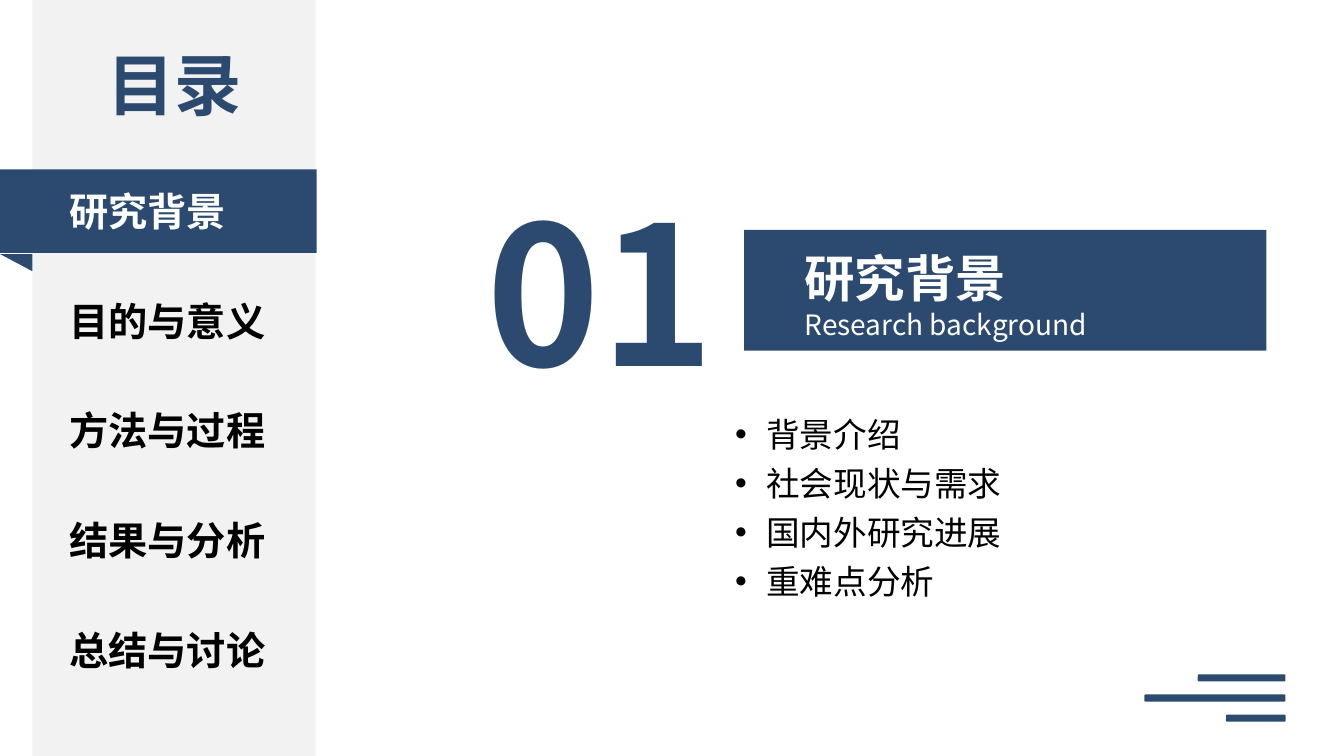
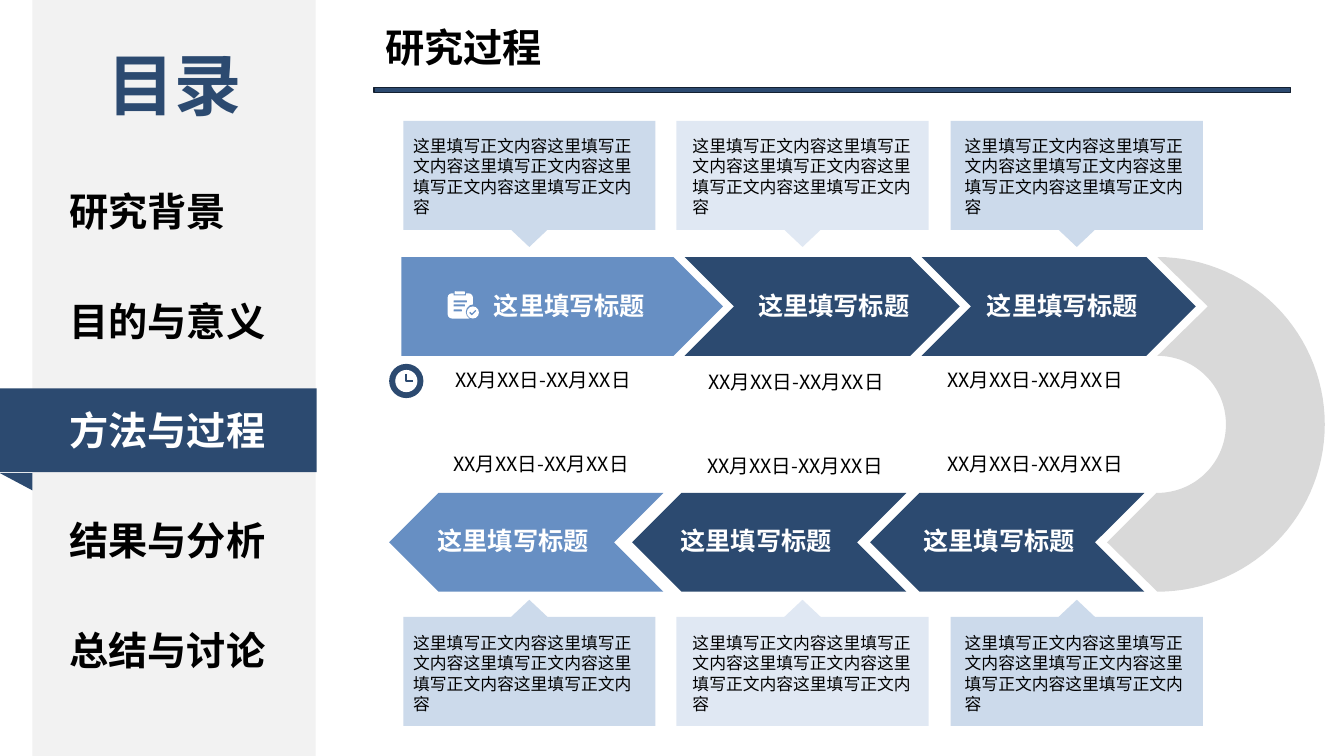
from math import cos, radians, sin

from lxml import etree
from pptx import Presentation
from pptx.dml.color import RGBColor
from pptx.enum.shapes import MSO_SHAPE
from pptx.enum.text import MSO_ANCHOR, MSO_AUTO_SIZE, PP_ALIGN
from pptx.oxml.ns import qn
from pptx.util import Inches, Pt

FONT = "Noto Sans CJK SC"
NAVY = RGBColor(0x2C, 0x4A, 0x70)
NAVY_EDGE = RGBColor(0x13, 0x20, 0x31)
BLUE = RGBColor(0x67, 0x8F, 0xC3)
PALE_BLUE = RGBColor(0xCC, 0xDA, 0xEB)
PANEL_GREY = RGBColor(0xF2, 0xF2, 0xF2)
TURN_GREY = RGBColor(0xD9, 0xD9, 0xD9)
WHITE = RGBColor(0xFF, 0xFF, 0xFF)
BLACK = RGBColor(0, 0, 0)

RECT, ROUND, OVAL = MSO_SHAPE.RECTANGLE, MSO_SHAPE.ROUNDED_RECTANGLE, MSO_SHAPE.OVAL
FOLD, CHEVRON, PENTAGON = MSO_SHAPE.RIGHT_TRIANGLE, MSO_SHAPE.CHEVRON, MSO_SHAPE.PENTAGON
LEFT, CENTER = PP_ALIGN.LEFT, PP_ALIGN.CENTER
TOP, MIDDLE = MSO_ANCHOR.TOP, MSO_ANCHOR.MIDDLE
FIXED_SIZE = MSO_AUTO_SIZE.NONE

CONTENTS = "目录"
CHAPTERS = ["研究背景", "目的与意义", "方法与过程", "结果与分析", "总结与讨论"]
CHAPTER_TOP, CHAPTER_STEP = 1.81, 1.087

SECTION_NUMBER = "01"
SECTION_TITLE = [("研究背景", 36, True, 43), ("Research background", 20, False, 24)]
SECTION_TOPICS = ["背景介绍", "社会现状与需求", "国内外研究进展", "重难点分析"]
CORNER_BAR_WIDTHS = [0.87, 1.4, 0.59]
CORNER_RIGHT = 12.75

PROCESS_TITLE = "研究过程"
STEP_TITLE = "这里填写标题"
STEP_DATES = "XX月XX日-XX月XX日"
STEP_BODY = "这里填写正文内容" * 5

CALLOUT_LEFTS = [4, 6.71, 9.43]
BODY_LEFTS = [4, 6.77, 9.47]
PROCESS_ROWS = [
    {"arrow_top": 2.55, "title_top": 2.83, "date_top": 3.6, "body_top": 1.3,
     "callout_base": 1.2, "callout_direction": 1, "flipped": False,
     "arrows": [(3.98, 3.19, PENTAGON, BLUE), (6.79, 2.73, CHEVRON, NAVY),
                (9.14, 2.72, CHEVRON, NAVY)],
     "title_lefts": [4.8, 7.42, 9.69], "date_lefts": [4.18, 6.69, 9.06]},
    {"arrow_top": 4.89, "title_top": 5.16, "date_top": 4.43, "body_top": 6.23,
     "callout_base": 7.2, "callout_direction": -1, "flipped": True,
     "arrows": [(3.86, 2.72, CHEVRON, BLUE), (6.27, 2.72, CHEVRON, NAVY),
                (8.63, 2.72, CHEVRON, NAVY)],
     "title_lefts": [4.24, 6.65, 9.06], "date_lefts": [4.16, 6.68, 9.06]},
]

CLIPBOARD_PARTS = [
    (ROUND, 4.44, 2.91, 0.25, 0.25, WHITE),
    (RECT, 4.5, 2.9, 0.12, 0.03, BLUE),
    (ROUND, 4.51, 2.89, 0.1, 0.03, WHITE),
    (ROUND, 4.5, 2.98, 0.13, 0.02, BLUE),
    (ROUND, 4.5, 3.02, 0.11, 0.02, BLUE),
    (ROUND, 4.5, 3.07, 0.08, 0.02, BLUE),
    (OVAL, 4.62, 3.02, 0.15, 0.15, BLUE),
    (OVAL, 4.63, 3.04, 0.12, 0.12, WHITE),
]
CLIPBOARD_TICK = [(4.66, 3.1), (4.68, 3.12), (4.72, 3.08)]
CLOCK_PARTS = [(OVAL, 3.86, 3.61, 0.34, 0.34, NAVY),
               (OVAL, 3.92, 3.67, 0.22, 0.22, WHITE)]
CLOCK_HANDS = [(4.03, 3.71), (4.03, 3.78), (4.1, 3.78)]


def paint(shape, color):
    shape.shadow.inherit = False
    shape.fill.solid()
    shape.fill.fore_color.rgb = color
    shape.line.fill.background()


def add_block(slide, kind, left, top, width, height, color):
    block = slide.shapes.add_shape(
        kind, Inches(left), Inches(top), Inches(width), Inches(height))
    paint(block, color)
    return block


def add_outline(slide, points, color, stroke=None):
    corners = [(Inches(x), Inches(y)) for x, y in points]
    builder = slide.shapes.build_freeform(*corners[0], scale=1.0)
    builder.add_line_segments(corners[1:], close=stroke is None)
    outline = builder.convert_to_shape()
    paint(outline, color)
    if stroke:
        outline.fill.background()
        outline.line.color.rgb = color
        outline.line.width = Pt(stroke)
    return outline


def place(shape, left, top, width, height):
    box = {"left": left, "top": top, "width": width, "height": height}
    for side, value in box.items():
        setattr(shape, side, Inches(value))


def format_frame(frame, anchor):
    settings = {"word_wrap": True, "auto_size": FIXED_SIZE, "vertical_anchor": anchor,
                "margin_left": Inches(0.1), "margin_right": Inches(0.1),
                "margin_top": Inches(0.05), "margin_bottom": Inches(0.05)}
    for name, value in settings.items():
        setattr(frame, name, value)


def write(frame, lines, color, align=LEFT, anchor=MIDDLE, bullet=False):
    format_frame(frame, anchor)
    for index, (text, size, bold, spacing) in enumerate(lines):
        paragraph = frame.add_paragraph() if index else frame.paragraphs[0]
        if bullet:
            properties = paragraph._p.get_or_add_pPr()
            properties.set("marL", str(Inches(0.31)))
            properties.set("indent", str(-Inches(0.31)))
            etree.SubElement(properties, qn("a:buChar")).set("char", "•")
        layout = {"alignment": align, "space_before": Pt(0), "space_after": Pt(0),
                  "line_spacing": Pt(spacing) if spacing else 1.0}
        for name, value in layout.items():
            setattr(paragraph, name, value)
        run = paragraph.add_run()
        run.text = text
        for name, value in {"size": Pt(size), "bold": bold, "name": FONT}.items():
            setattr(run.font, name, value)
        run.font.color.rgb = color
        etree.SubElement(run._r.get_or_add_rPr(), qn("a:ea")).set("typeface", FONT)


def add_label(slide, box, text, size, color, bold=False, spacing=None,
              align=LEFT, anchor=MIDDLE):
    label = slide.shapes.add_textbox(*(Inches(value) for value in box))
    write(label.text_frame, [(text, size, bold, spacing)], color, align, anchor)


def add_sidebar(slide, active):
    add_block(slide, RECT, 0.32, 0, 2.81, 7.5, PANEL_GREY)
    ribbon_top = CHAPTER_TOP + active * CHAPTER_STEP - 0.13
    add_block(slide, RECT, 0, ribbon_top, 3.14, 0.83, NAVY)
    add_block(slide, FOLD, 0, ribbon_top + 0.84, 0.32, 0.17, NAVY).rotation = 180
    add_label(slide, (0.76, 0.37, 1.94, 0.91), CONTENTS, 48, NAVY, True, align=CENTER)
    for index, chapter in enumerate(CHAPTERS):
        top = CHAPTER_TOP + index * CHAPTER_STEP
        add_label(slide, (0.59, top, 2.21, 0.57), chapter, 28,
                  WHITE if index == active else BLACK, True)


def add_callout(slide, left, base, direction, pale):
    profile = [(0, 0), (2.5, 0), (2.5, 1.08), (1.43, 1.08),
               (1.25, 1.25), (1.07, 1.08), (0, 1.08)]
    points = [(left + x, base + direction * y) for x, y in profile]
    callout = add_outline(slide, points, BLUE if pale else PALE_BLUE)
    if pale:
        tint = callout._element.spPr.find(qn("a:solidFill"))[0]
        etree.SubElement(tint, qn("a:alpha")).set("val", "20000")


def arc(radius, start, end, step):
    return [(11.48 + radius * cos(radians(angle)), 4.21 + radius * sin(radians(angle)))
            for angle in range(start, end + step, step)]


def add_turn(slide):
    points = (arc(1.66, -90, 90, 3) + [(10.98, 5.38), (11.47, 4.89)]
              + arc(0.68, 90, -90, -3) + [(11.98, 3.04)])
    add_outline(slide, points, TURN_GREY)


def add_process_row(slide, row):
    for column, (left, width, kind, color) in enumerate(row["arrows"]):
        arrow = add_block(slide, kind, left, row["arrow_top"], width, 0.98, color)
        if row["flipped"]:
            arrow._element.spPr.find(qn("a:xfrm")).set("flipH", "1")
        add_callout(slide, CALLOUT_LEFTS[column], row["callout_base"],
                    row["callout_direction"], column == 1)
        add_label(slide, (row["title_lefts"][column], row["title_top"], 1.91, 0.4),
                  STEP_TITLE, 18, WHITE, True)
        date_top = row["date_top"] + (0.02 if column == 1 else 0)
        add_label(slide, (row["date_lefts"][column], date_top, 2.41, 0.34),
                  STEP_DATES, 14, BLACK, align=CENTER)
        add_label(slide, (BODY_LEFTS[column], row["body_top"], 2.5, 0.91),
                  STEP_BODY, 12, BLACK, spacing=14.4, anchor=TOP)


def build_section(deck):
    slide = deck.slides.add_slide(deck.slide_layouts[1])
    title, topics = slide.placeholders
    place(title, 7.38, 2.28, 5.18, 1.2)
    paint(title, NAVY)
    write(title.text_frame, SECTION_TITLE, WHITE)
    title.text_frame.margin_left = Inches(0.6)
    title.text_frame.margin_top = Inches(0.13)
    place(topics, 7.19, 3.97, 4.44, 2.02)
    write(topics.text_frame, [(topic, 24, False, 35) for topic in SECTION_TOPICS],
          BLACK, anchor=TOP, bullet=True)
    add_sidebar(slide, 0)
    add_label(slide, (4.35, 1.66, 3.22, 2.42), SECTION_NUMBER, 138, NAVY, True,
              align=CENTER)
    for index, width in enumerate(CORNER_BAR_WIDTHS):
        add_block(slide, ROUND, CORNER_RIGHT - width, 6.69 + 0.2 * index,
                  width, 0.07, NAVY)


def build_process(deck):
    slide = deck.slides.add_slide(deck.slide_layouts[5])
    title = slide.shapes.title
    place(title, 3.72, 0.18, 4.93, 0.57)
    write(title.text_frame, [(PROCESS_TITLE, 28, True, None)], BLACK)
    add_sidebar(slide, 2)
    rule = add_block(slide, RECT, 3.71, 0.87, 9.09, 0.05, NAVY)
    rule.line.color.rgb = NAVY_EDGE
    rule.line.width = Pt(1)
    add_turn(slide)
    for row in PROCESS_ROWS:
        add_process_row(slide, row)
    for part in CLIPBOARD_PARTS + CLOCK_PARTS:
        add_block(slide, *part)
    add_outline(slide, CLIPBOARD_TICK, BLUE, 1)
    add_outline(slide, CLOCK_HANDS, NAVY, 1.5)


def main():
    deck = Presentation()
    deck.slide_width, deck.slide_height = Inches(13.33), Inches(7.5)
    build_section(deck)
    build_process(deck)
    deck.save("out.pptx")


if __name__ == "__main__":
    main()
